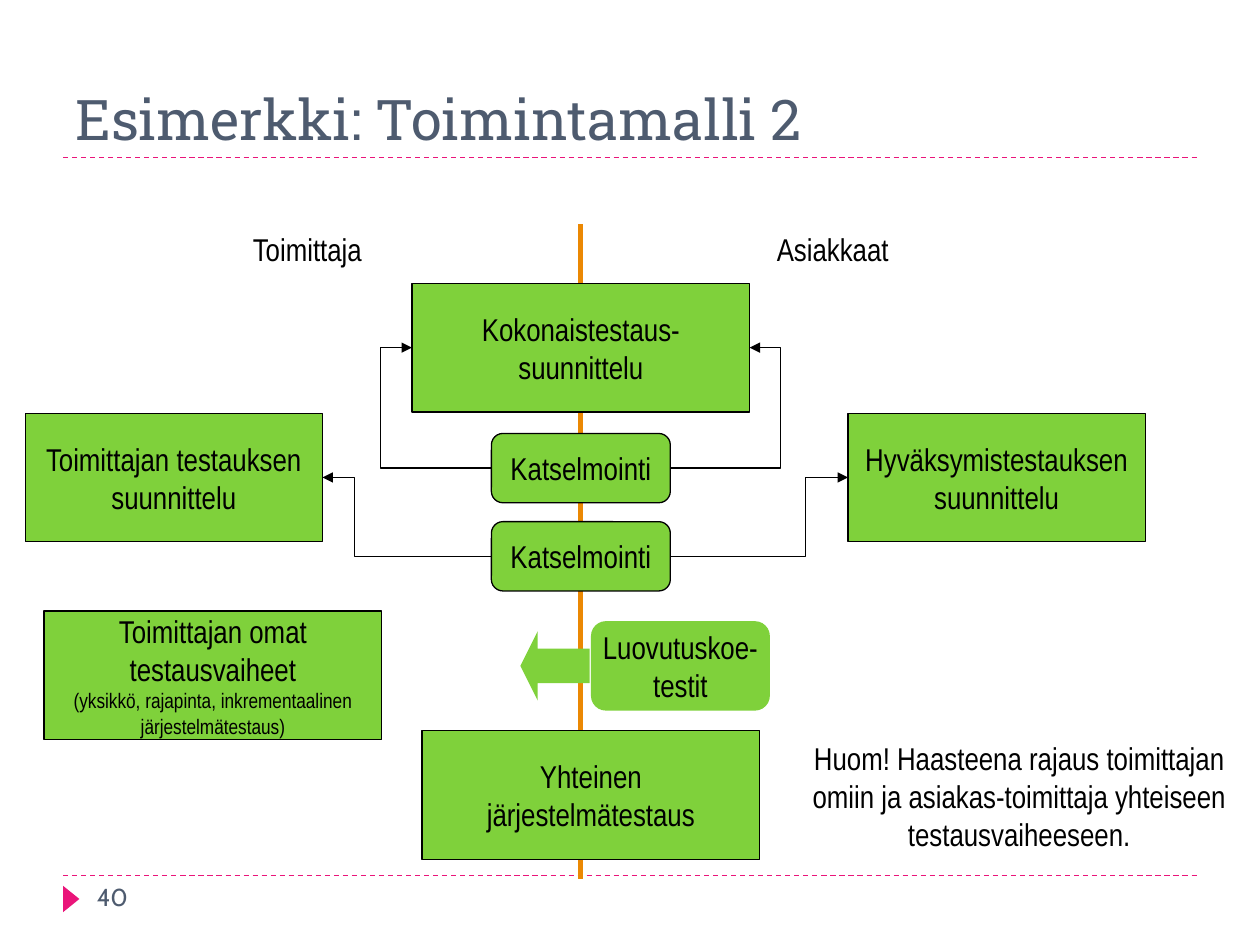
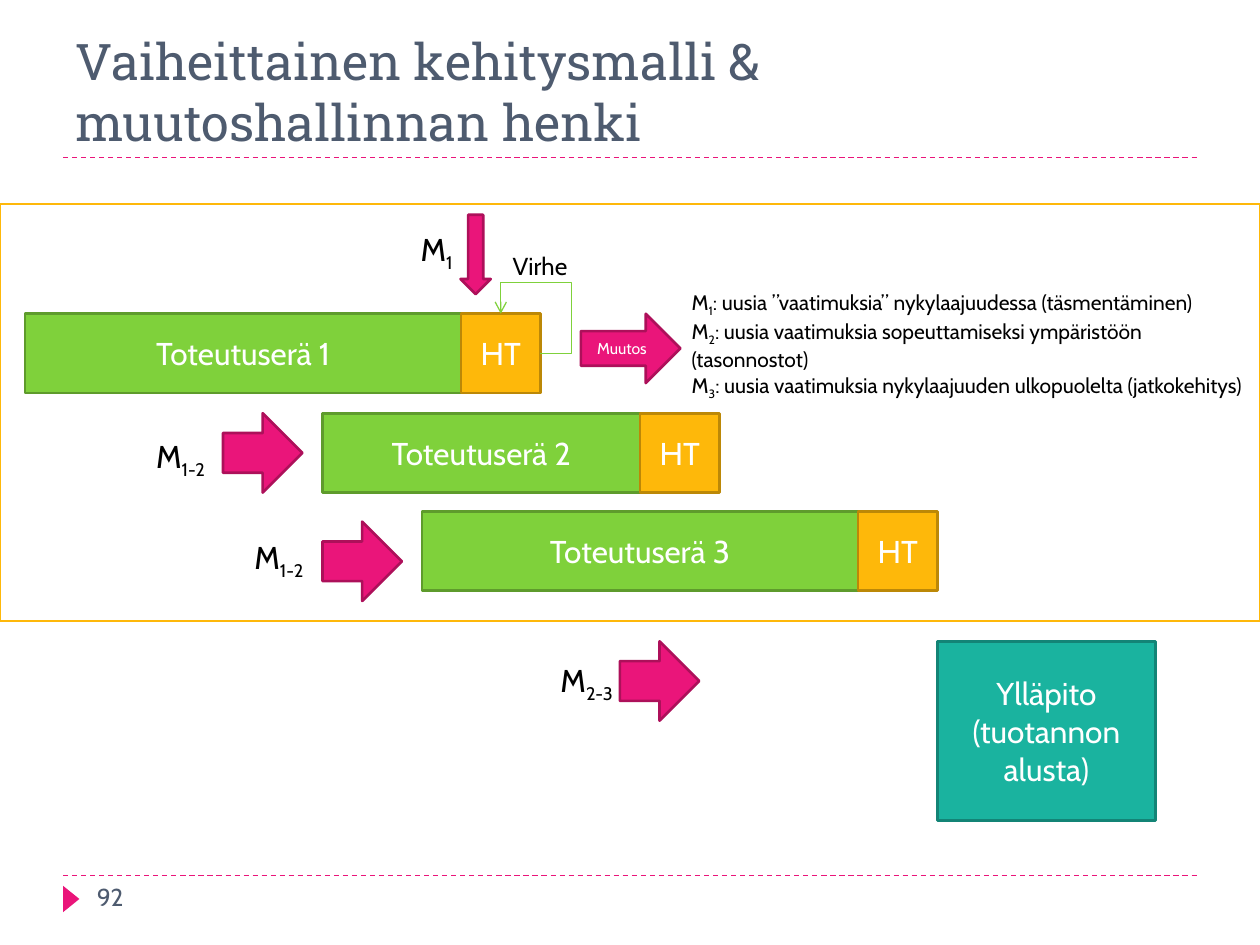
from collections import namedtuple

from lxml import etree
from pptx import Presentation
from pptx.dml.color import RGBColor
from pptx.enum.dml import MSO_LINE
from pptx.enum.shapes import MSO_CONNECTOR, MSO_SHAPE
from pptx.enum.text import MSO_ANCHOR, MSO_AUTO_SIZE, PP_ALIGN
from pptx.oxml.ns import qn
from pptx.util import Inches, Pt

RECT, ROUNDED = MSO_SHAPE.RECTANGLE, MSO_SHAPE.ROUNDED_RECTANGLE
RIGHT_ARROW, LEFT_ARROW = MSO_SHAPE.RIGHT_ARROW, MSO_SHAPE.LEFT_ARROW
TRIANGLE = MSO_SHAPE.ISOSCELES_TRIANGLE
STRAIGHT, ELBOW = MSO_CONNECTOR.STRAIGHT, MSO_CONNECTOR.ELBOW
DASH = MSO_LINE.DASH
TOP, MIDDLE, BOTTOM = MSO_ANCHOR.TOP, MSO_ANCHOR.MIDDLE, MSO_ANCHOR.BOTTOM
LEFT, CENTER = PP_ALIGN.LEFT, PP_ALIGN.CENTER
GROW = MSO_AUTO_SIZE.SHAPE_TO_FIT_TEXT
TOP_SITE, LEFT_SITE, RIGHT_SITE = 0, 1, 3

COLORS = {
    "pink": "EA157A", "pink_edge": "AD105A",
    "green": "7FD13B", "green_edge": "5E9B2C",
    "amber": "FEB80A", "amber_edge": "BC8807",
    "teal": "1AB39F", "teal_edge": "138476",
    "orange": "EB8803", "slate": "4E5B6F",
    "black": "000000", "white": "FFFFFF",
}

Box = namedtuple("Box", "left top width height")
Style = namedtuple("Style", "font size color align anchor")

TITLE = Style("Roboto Slab", 32, "slate", LEFT, BOTTOM)
NUMBER = Style("Cabin", 14, "slate", LEFT, TOP)
MODEL = Style("Arial Narrow", 18, "black", CENTER, MIDDLE)
MODEL_LABEL = MODEL._replace(anchor=TOP)
PHASE = Style("Cabin", 18, "white", CENTER, MIDDLE)
MARKER = Style("Cabin", 18, "black", LEFT, TOP)

PAGE_BOX = Box(0, 0, 10, 7.5)
BODY = Box(0, 1.62, 10, 3.31)


def rgb(name):
    """Return the named palette colour."""
    return RGBColor.from_string(COLORS[name])


def inside(area, left, top, width, height):
    """Return a box placed relative to the corner of an area."""
    return Box(area.left + left, area.top + top, width, height)


def write(frame, text, style, sizes=()):
    """Fill a text frame, one paragraph a line, with subscripts between bars."""
    frame.vertical_anchor = style.anchor
    for index, line in enumerate(text.split("\n")):
        para = frame.add_paragraph() if index else frame.paragraphs[0]
        para.alignment = style.align
        para.font.name = style.font
        para.font.size = Pt(sizes[index] if sizes else style.size)
        para.font.color.rgb = rgb(style.color)
        for position, part in enumerate(line.split("|")):
            span = para.add_run()
            span.text = part
            if position % 2:
                span._r.get_or_add_rPr().set("baseline", "-25000")


def add_label(page, box, text, style, wrap=True):
    """Add a text box."""
    label = page.shapes.add_textbox(*map(Inches, box))
    label.text_frame.word_wrap = wrap
    if not wrap:
        label.text_frame.auto_size = GROW
    write(label.text_frame, text, style)


def add_block(page, kind, box, fill, edge=None, weight=1.5, text="",
              style=PHASE, sizes=(), wrap=True):
    """Add a flat preset shape with optional fill, edge and text."""
    block = page.shapes.add_shape(kind, *map(Inches, box))
    block.shadow.inherit = False
    if fill:
        block.fill.solid()
        block.fill.fore_color.rgb = rgb(fill)
    else:
        block.fill.background()
    if edge:
        block.line.color.rgb = rgb(edge)
        block.line.width = Pt(weight)
    else:
        block.line.fill.background()
    if text:
        block.text_frame.word_wrap = wrap
        write(block.text_frame, text, style, sizes)
    return block


def add_line(page, kind, start, end, color, weight=0.75):
    """Add a connector without a shadow between two points."""
    line = page.shapes.add_connector(kind, *start, *end)
    line.line.color.rgb = rgb(color)
    line.line.width = Pt(weight)
    etree.SubElement(line._element.spPr, qn("a:effectLst"))
    return line


def site_point(shape, site):
    """Return the point of a connection site on a shape."""
    across = {TOP_SITE: 0.5, LEFT_SITE: 0, RIGHT_SITE: 1}[site]
    down = 0 if site == TOP_SITE else 0.5
    return (int(shape.left + shape.width * across),
            int(shape.top + shape.height * down))


def add_bend(page, source, source_site, target, target_site, color, head, bends):
    """Add an elbow arrow glued to two shapes, with its bend positions."""
    bend = add_line(page, ELBOW, site_point(source, source_site),
                    site_point(target, target_site), color)
    bend.begin_connect(source, source_site)
    bend.end_connect(target, target_site)
    geometry = bend._element.spPr.find(qn("a:prstGeom"))
    geometry.set("prst", f"bentConnector{len(bends) + 2}")
    guides = geometry.get_or_add_avLst()
    for index, value in enumerate(bends, 1):
        etree.SubElement(guides, qn("a:gd"), name=f"adj{index}",
                         fmla=f"val {round(value * 100000)}")
    etree.SubElement(bend.line._get_or_add_ln(), qn("a:tailEnd"), type=head)


def add_frame(page, area, title, title_size, number):
    """Add the dashed rules, page marker, title and number of a slide."""
    for height in (6.95, 1.25):
        start, end = inside(area, 0.5, height, 0, 0), inside(area, 9.5, height, 0, 0)
        rule = add_line(page, STRAIGHT, map(Inches, start[:2]),
                        map(Inches, end[:2]), "pink")
        rule.line.dash_style = DASH
    pointer = add_block(page, TRIANGLE, inside(area, 0.46, 7.07, 0.21, 0.13), "pink")
    pointer.rotation = 90
    add_label(page, inside(area, 0.5, 0.25, 9, 1), title,
              TITLE._replace(size=title_size))
    add_label(page, inside(area, 0.67, 6.95, 2.17, 0.4), number, NUMBER)


def add_operating_model(page, area):
    """Draw the testing work split between supplier and customers."""
    axis = 4.61
    add_line(page, STRAIGHT, map(Inches, (area.left + axis, area.top + 0.16)),
             map(Inches, (area.left + axis, area.top + 5.36)), "orange", 3)
    for left, party in ((1.14, "Toimittaja"), (5.31, "Asiakkaat")):
        add_label(page, inside(area, left, 0.16, 2.6, 0.4), party, MODEL_LABEL)

    def step(left, top, width, text, sizes=()):
        """Add an outlined work step."""
        return add_block(page, RECT, inside(area, left, top, width, 1.02), "green",
                         "black", 0.75, text, MODEL, sizes)

    overall = step(axis - 1.34, 0.63, 2.68, "Kokonaistestaus-suunnittelu")
    supplier = step(0.2, 1.66, 2.36, "Toimittajan testauksen suunnittelu")
    acceptance = step(6.73, 1.66, 2.36, "Hyväksymistestauksen suunnittelu")
    step(3.35, 4.18, 2.68, "Yhteinen järjestelmätestaus")
    step(0.35, 3.23, 2.68, "Toimittajan omat testausvaiheet\n"
         "(yksikkö, rajapinta, inkrementaalinen järjestelmätestaus)", (18, 12))
    first, second = [
        add_block(page, ROUNDED, inside(area, axis - 0.71, top, 1.42, 0.55), "green",
                  "black", 0.75, "Katselmointi", MODEL, wrap=False)
        for top in (1.82, 2.52)]
    add_block(page, ROUNDED, inside(area, 4.69, 3.31, 1.42, 0.71), "green",
              text="Luovutuskoe-\ntestit", style=MODEL, wrap=False)
    handover = add_block(page, LEFT_ARROW, inside(area, 4.13, 3.39, 0.55, 0.55), "green")
    handover.adjustments[1] = 0.25

    for source, source_site, target, target_site, bend in (
            (first, LEFT_SITE, overall, LEFT_SITE, 1.4),
            (first, RIGHT_SITE, overall, RIGHT_SITE, 1.39),
            (second, LEFT_SITE, supplier, RIGHT_SITE, 0.81),
            (second, RIGHT_SITE, acceptance, LEFT_SITE, 0.76)):
        add_bend(page, source, source_site, target, target_site, "black",
                 "triangle", [bend])
    add_label(page, inside(area, 6.26, 4.2, 3.66, 1),
              "Huom! Haasteena rajaus toimittajan omiin ja asiakas-toimittaja "
              "yhteiseen testausvaiheeseen.", MODEL_LABEL)


def add_batches(page, area):
    """Draw the three batches with their acceptance tests and the defect loop."""
    side = 0.63
    tests = []
    for number, (left, top, width) in enumerate(
            ((0.2, 0.87, 3.46), (2.56, 1.66, 2.52), (3.35, 2.44, 3.46)), 1):
        add_block(page, RECT, inside(area, left, top, width, side), "green",
                  "green_edge", text=f"Toteutuserä {number}")
        tests.append(add_block(page, RECT, inside(area, left + width, top, side, side),
                               "amber", "amber_edge", text="HT"))
    add_bend(page, tests[0], RIGHT_SITE, tests[0], TOP_SITE, "green", "arrow",
             [-0.79, 1.79])
    add_label(page, inside(area, 3.97, 0.32, 0.64, 0.34), "Virhe",
              MARKER._replace(size=14), wrap=False)


def add_changes(page, area):
    """Draw the change arrows with their markers and the legend."""
    add_block(page, RIGHT_ARROW, inside(area, 4.61, 0.87, 0.79, 0.55), "pink",
              "pink_edge", text="Muutos", style=PHASE._replace(size=9))
    add_label(page, inside(area, 5.39, 0.63, 4.61, 0.91),
              "M|1|: uusia ”vaatimuksia” nykylaajuudessa (täsmentäminen)\n"
              "M|2|: uusia vaatimuksia sopeuttamiseksi ympäristöön (tasonnostot)\n"
              "M|3|: uusia vaatimuksia nykylaajuuden ulkopuolelta (jatkokehitys)",
              MARKER._replace(size=12))
    for text, label_left, label_top, left, top in (
            ("M|1-2|", 1.14, 1.8, 1.77, 1.66),
            ("M|1-2|", 1.92, 2.6, 2.56, 2.52),
            ("M|2-3|", 4.35, 3.58, 4.92, 3.47)):
        add_label(page, inside(area, label_left, label_top, 0.64, 0.4), text,
                  MARKER, wrap=False)
        add_block(page, RIGHT_ARROW, inside(area, left, top, 0.63, 0.63), "pink",
                  "pink_edge")
    add_label(page, inside(area, 3.24, 0.16, 0.5, 0.4), "M|1|", MARKER, wrap=False)
    entry = add_block(page, RIGHT_ARROW, inside(area, 3.46, 0.28, 0.63, 0.24), "pink",
                      "pink_edge")
    entry.rotation = 90


def add_phased_model(page, area):
    """Draw the phased development model and its maintenance stage."""
    add_batches(page, area)
    add_block(page, RECT, inside(area, 7.44, 3.47, 1.73, 1.42), "teal", "teal_edge",
              text="Ylläpito (tuotannon alusta)")
    add_changes(page, area)
    add_block(page, RECT, area, None, "amber")


def main():
    """Build the deck and save it."""
    deck = Presentation()
    deck.slide_width, deck.slide_height = Inches(PAGE_BOX.width), Inches(PAGE_BOX.height)
    for title, size, number, draw in (
            ("Esimerkki: Toimintamalli 2", 32, "40", add_operating_model),
            ("Vaiheittainen kehitysmalli & muutoshallinnan henki", 28.8, "92",
             add_phased_model)):
        page = deck.slides.add_slide(deck.slide_layouts[6])
        add_frame(page, PAGE_BOX, title, size, number)
        draw(page, BODY)
    deck.save("out.pptx")


if __name__ == "__main__":
    main()
